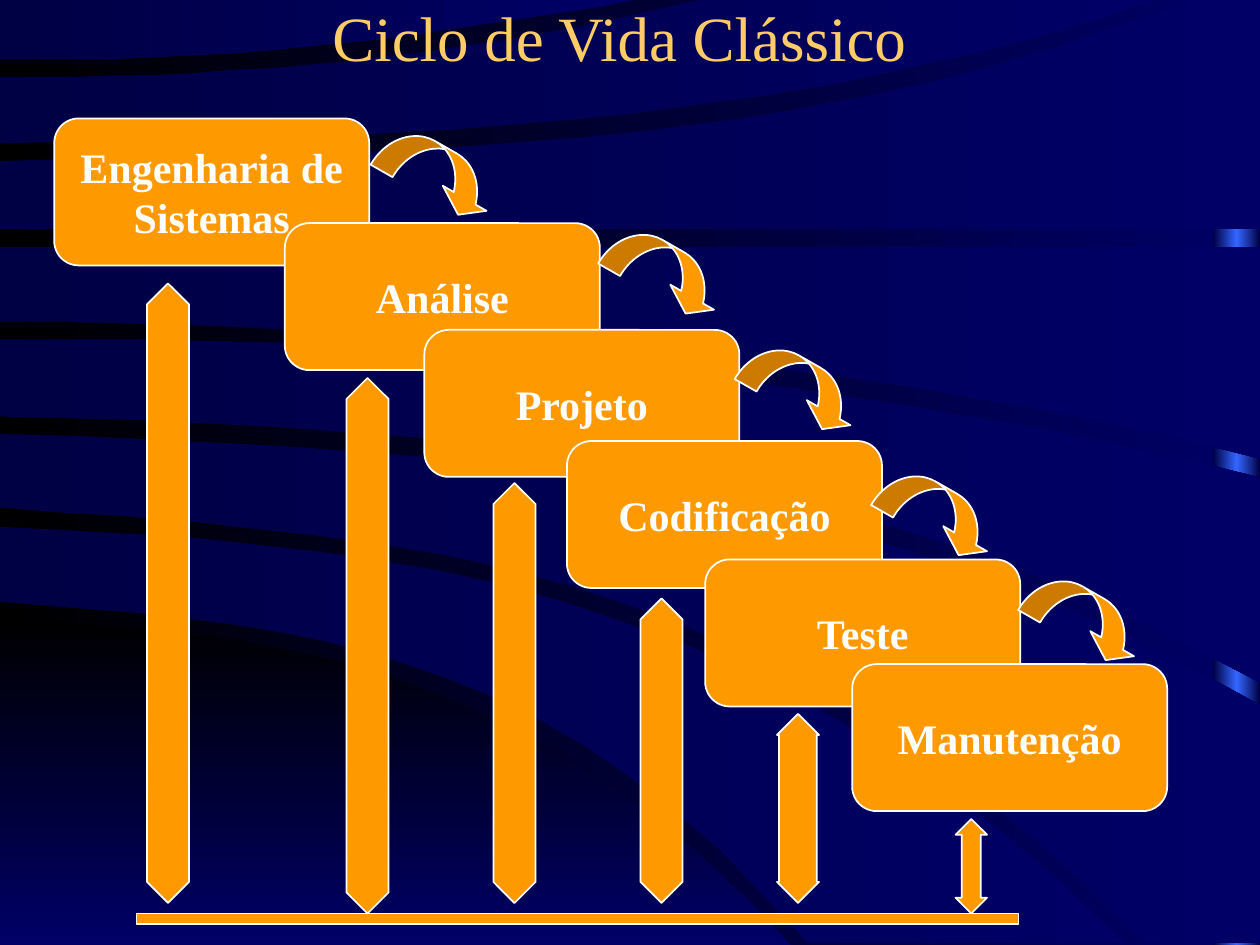
from copy import deepcopy
from dataclasses import dataclass

from pptx import Presentation
from pptx.dml.color import RGBColor
from pptx.enum.shapes import MSO_SHAPE
from pptx.enum.text import MSO_ANCHOR, MSO_AUTO_SIZE, PP_ALIGN
from pptx.oxml.ns import qn
from pptx.util import Pt


@dataclass(frozen=True)
class Theme:
    font: str = "Times New Roman"
    title_size: int = 36
    stage_size: int = 24
    title: str = "FFCC66"
    text: str = "FFFFFF"
    accent: str = "FF9900"
    outline: str = "FFFFFF"
    black: str = "000000"
    navy: str = "000066"
    dark_navy: str = "000044"
    glow: str = "3366FF"


THEME = Theme()
WIDTH, HEIGHT = 720, 540
TOP_DOWN = 270
EDGE_STEPS = 18

# An edge is its right end, then its heights at 0, 1/3, 2/3 and 3/3 of the way;
# a single height makes it level.
HILL = ((452, 353.5, 369, 420, 540), (452, 540))

# Upper edge, lower edge and any corner between their right ends, back to front
BANDS = [
    ((643, 301, 320, 385, 539), (462, 343.5, 360, 411, 539)),
    ((720, 248, 261, 303, 403), (654, 290, 311, 377, 539), (720, 539)),
    ((720, 194, 200.5, 225.5, 273), (720, 238, 250, 292, 390)),
    ((720, 141), (720, 184, 191.5, 215, 262)),
    ((679, 92, 85.5, 63, 0), (720, 131), (720, 0)),
    ((400, 44, 40.5, 26.5, 0), (660, 82, 76, 54, 0)),
    ((361, 0), (361, 34, 31, 19, 0)),
]

STAGES = [
    (["Engenharia de", "Sistemas"], 31, 67.7),
    (["Análise"], 162.8, 127.5),
    (["Projeto"], 242.5, 188.5),
    (["Codificação"], 324, 252),
    (["Teste"], 403, 319.7),
    (["Manutenção"], 487, 379.5),
]
STEP_ARROWS = [(214.5, 84), (344.5, 140.5), (422.5, 206.5), (500.5, 278.5),
               (584.5, 338.5)]
RETURN_ARROWS = [(84, 162, 24, 354), (198, 216, 24, 306), (282, 276, 24, 240),
                 (366, 342, 24, 174), (444, 408, 24, 108), (546, 468, 18, 54)]


def color(value):
    return RGBColor.from_string(value)


def fill_gradient(fill, start, end, angle=0):
    fill.gradient()
    fill.gradient_angle = angle
    for stop, value, position in zip(fill.gradient_stops, (start, end), (0, 1)):
        stop.color.rgb = color(value)
        stop.position = position


def write(para, text, size, ink, bold=False):
    para.alignment = PP_ALIGN.CENTER
    span = para.add_run()
    span.text = text
    span.font.name = THEME.font
    span.font.size = Pt(size)
    span.font.bold = bold
    span.font.color.rgb = color(ink)


def add_preset(page, kind, box, adjustments=()):
    """Add an accent-filled, outlined shape in a box of points."""
    shape = page.shapes.add_shape(kind, *map(Pt, box))
    shape.shadow.inherit = False
    shape.fill.solid()
    shape.fill.fore_color.rgb = color(THEME.accent)
    shape.line.color.rgb = color(THEME.outline)
    shape.line.width = Pt(1)
    for index, value in enumerate(adjustments):
        shape.adjustments[index] = value
    return shape


def edge_points(end, *heights):
    """Return points along the cubic through evenly spaced heights."""
    if len(heights) == 1:
        return [(0, heights[0]), (end, heights[0])]
    points = []
    for step in range(EDGE_STEPS + 1):
        place = step / EDGE_STEPS * 3
        y = 0
        for node, height in enumerate(heights):
            weight = 1
            for other in range(len(heights)):
                if other != node:
                    weight *= (place - other) / (node - other)
            y += weight * height
        points.append((end * step / EDGE_STEPS, y))
    return points


def add_band(page, box, band, start, angle=0):
    left, top = box[:2]
    upper, lower, *corners = band
    outline = edge_points(*upper) + corners + edge_points(*lower)[::-1]
    points = [(left + x, top + y) for x, y in outline]
    builder = page.shapes.build_freeform(*points[0], scale=Pt(1))
    builder.add_line_segments(points[1:], close=True)
    shape = builder.convert_to_shape()
    shape.shadow.inherit = False
    shape.line.fill.background()
    fill_gradient(shape.fill, start, THEME.navy, angle)


def add_glow_strip(page, box):
    strip = add_preset(page, MSO_SHAPE.RECTANGLE, box)
    strip.line.fill.background()
    fill_gradient(strip.fill, THEME.dark_navy, THEME.glow)
    first, middle = strip.element.spPr.find(qn("a:gradFill")).find(qn("a:gsLst"))
    middle.set("pos", "50000")
    last = deepcopy(first)
    last.set("pos", "100000")
    middle.addnext(last)


def add_backdrop(page, box):
    left, top, width, height = box
    fill_gradient(page.background.fill, THEME.black, THEME.navy)
    add_glow_strip(page, (left + width - 26.6, top, 26.6, height))
    add_band(page, box, HILL, THEME.black, TOP_DOWN)
    for band in BANDS:
        add_band(page, box, band, THEME.dark_navy)


def add_title(page, text, box):
    title = page.shapes.title
    page.shapes.element.append(title.element)  # in front of the backdrop
    title.left, title.top, title.width, title.height = map(Pt, box)
    frame = title.text_frame
    frame.auto_size = MSO_AUTO_SIZE.NONE
    frame.vertical_anchor = MSO_ANCHOR.MIDDLE
    write(frame.paragraphs[0], text, THEME.title_size, THEME.title)


def add_stage(page, lines, box):
    stage = add_preset(page, MSO_SHAPE.ROUNDED_RECTANGLE, box, [0.167])
    frame = stage.text_frame
    frame.word_wrap = False
    frame.vertical_anchor = MSO_ANCHOR.MIDDLE
    for index, line in enumerate(lines):
        para = frame.add_paragraph() if index else frame.paragraphs[0]
        write(para, line, THEME.stage_size, THEME.text, bold=True)


def add_waterfall(page, box):
    """Place the stages, the steps between them and the returns to the base bar."""
    left, top, width, height = box
    for lines, x, y in STAGES:
        add_stage(page, lines, (left + x, top + y, 180, 84))
    for x, y in STEP_ARROWS:
        arrow = add_preset(page, MSO_SHAPE.CURVED_DOWN_ARROW,
                           (left + x, top + y, 72, 30), [0.48, 0.96, 0.333])
        arrow.rotation = 29.8
    add_preset(page, MSO_SHAPE.RECTANGLE,
               (left + 78, top + height - 18, width - 216, 6))
    for x, y, across, tall in RETURN_ARROWS:
        add_preset(page, MSO_SHAPE.UP_DOWN_ARROW,
                   (left + x, top + y, across, tall), [0.5, 0.2 * tall / across])


def main():
    deck = Presentation()
    deck.slide_width, deck.slide_height = Pt(WIDTH), Pt(HEIGHT)
    page = deck.slides.add_slide(deck.slide_layouts.get_by_name("Title Only"))
    whole = (0, 0, WIDTH, HEIGHT)
    add_backdrop(page, whole)
    add_title(page, "Ciclo de Vida Clássico", (48, -6, 612, 54))
    add_waterfall(page, whole)
    deck.save("out.pptx")


if __name__ == "__main__":
    main()
